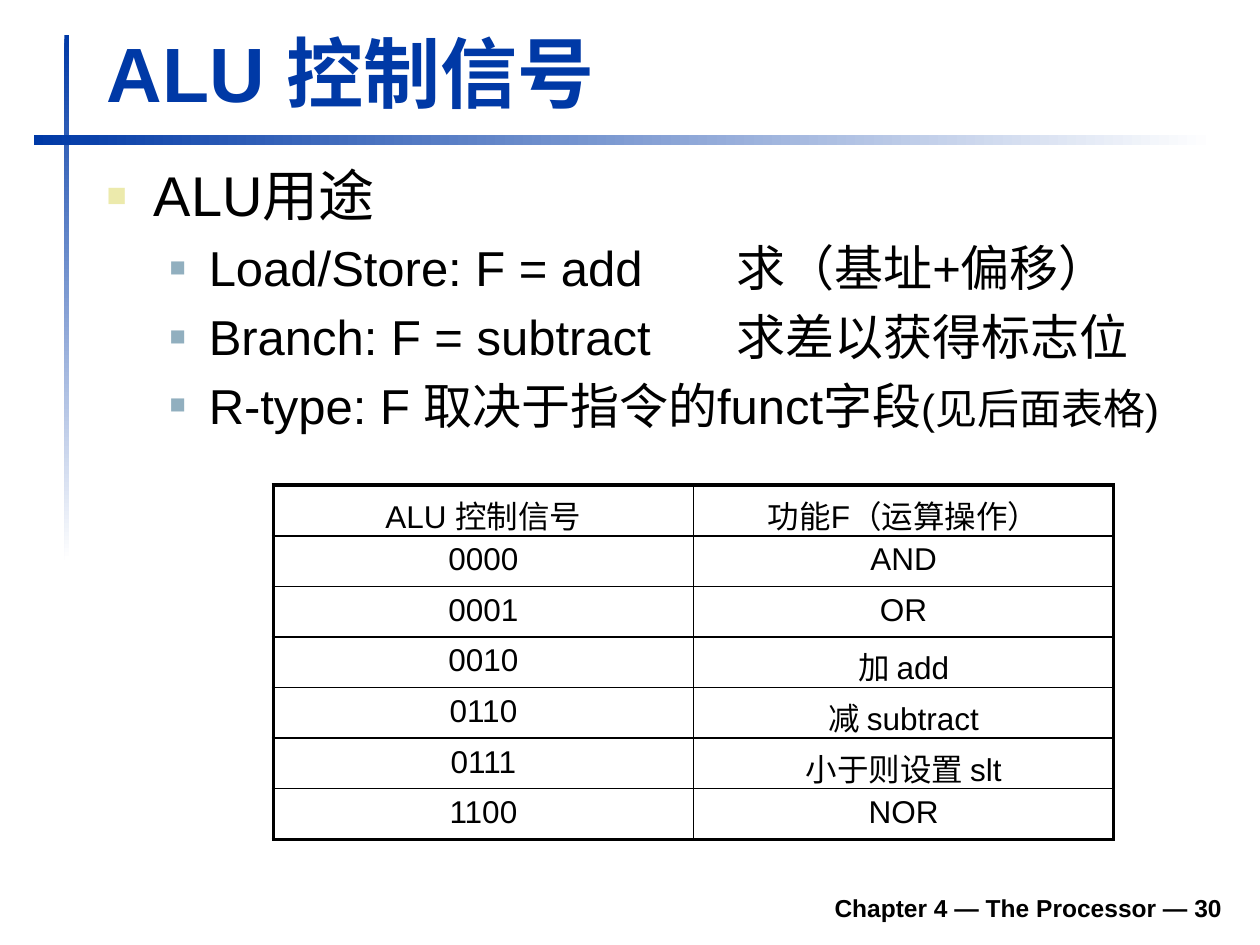
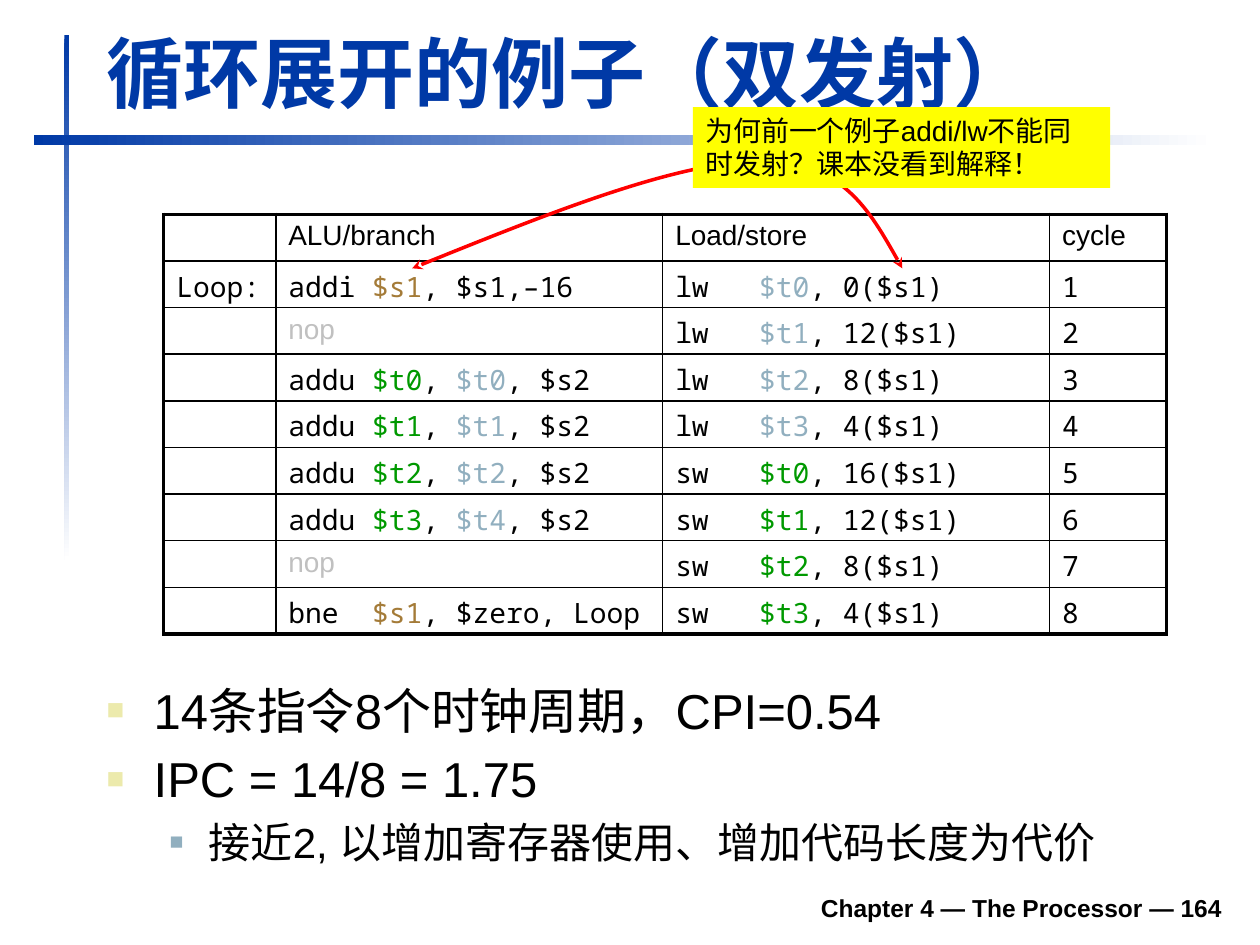
from lxml import etree
from pptx import Presentation
from pptx.dml.color import RGBColor
from pptx.enum.shapes import MSO_SHAPE
from pptx.enum.text import MSO_ANCHOR, PP_ALIGN
from pptx.oxml.ns import qn
from pptx.util import Cm, Pt

BLUE, BLACK, WHITE = "0039A6", "000000", "FFFFFF"
STEEL, GREEN, BROWN, GREY = "91AFBF", "009900", "A47B38", "C0C0C0"
RED, YELLOW, SAND = "FF0000", "FFFF00", "ECEAAC"
SANS, MONO = "Arial", "Noto Sans Mono"

# level: left margin, hanging indent (cm), bullet colour, bullet size
BULLETS = [(0.95, 0.95, SAND, 60000), (2.06, 0.79, STEEL, 55000)]
TAB_STOP = Cm(12.7)
OUTER, HEADER, INNER = 2.25, 1.5, 1


def rgb(value):
    return RGBColor.from_string(value)


def add_xml(parent, tag, **attributes):
    child = etree.SubElement(parent, qn(tag))
    for name, value in attributes.items():
        child.set(name, str(value))
    return child


class Deck:
    """Holds the presentation, its shared style and the current slide."""

    def __init__(self):
        self.prs = Presentation()
        self.prs.slide_width, self.prs.slide_height = Cm(25.4), Cm(19.05)

    def slide(self, title, number):
        self.current = self.prs.slides.add_slide(self.prs.slide_layouts[6])
        self.gradient_bar(1.3, 0.71, 0.1, 10.59, 270)
        self.gradient_bar(0.69, 2.72, 23.8, 0.2, 0)
        self.line_of_text(f"Chapter 4 — The Processor — {number}",
                          (4.7, 17.73, 20.19, 0.99), 14, BLACK, PP_ALIGN.RIGHT)
        self.line_of_text(title, (1.9, 0.4, 22.94, 2.11), 44, BLUE, PP_ALIGN.LEFT)

    def gradient_bar(self, left, top, width, height, angle):
        sp = self.box(left, top, width, height)
        sp.fill.gradient()
        sp.fill.gradient_angle = angle
        for stop, color in zip(sp.fill.gradient_stops, (BLUE, WHITE)):
            stop.color.rgb = rgb(color)

    def box(self, *place):
        sp = self.current.shapes.add_shape(MSO_SHAPE.RECTANGLE, *map(Cm, place))
        sp.shadow.inherit = False
        sp.line.fill.background()
        return sp

    def text_frame(self, place):
        tf = self.current.shapes.add_textbox(*map(Cm, place)).text_frame
        tf.word_wrap = True
        return tf

    def format(self, r, size, color=BLACK, font=SANS, bold=False):
        r.font.size, r.font.name, r.font.bold = Pt(size), font, bold
        r.font.color.rgb = rgb(color)

    def line_of_text(self, text, place, size, color, align):
        tf = self.text_frame(place)
        tf.vertical_anchor = MSO_ANCHOR.BOTTOM
        tf.text = text
        p = tf.paragraphs[0]
        p.alignment = align
        self.format(p.runs[0], size, color, bold=True)

    def bullets(self, place, items):
        """Each item is a level followed by (text, size) runs."""
        tf = self.text_frame(place)
        for i, (level, *runs) in enumerate(items):
            p = tf.add_paragraph() if i else tf.paragraphs[0]
            margin, hanging, color, bullet_size = BULLETS[level]
            pPr = p._p.get_or_add_pPr()
            pPr.set("marL", str(Cm(margin)))
            pPr.set("indent", str(-Cm(hanging)))
            add_xml(add_xml(pPr, "a:buClr"), "a:srgbClr", val=color)
            add_xml(pPr, "a:buSzPct", val=bullet_size)
            add_xml(pPr, "a:buFont", typeface=SANS)
            add_xml(pPr, "a:buChar", char="■")
            add_xml(add_xml(pPr, "a:tabLst"), "a:tab", pos=TAB_STOP, algn="l")
            p.level = level
            if i:
                p.space_before = Pt(0.2 * runs[0][1])
            for text, size in runs:
                r = p.add_run()
                r.text = text
                self.format(r, size)

    def table(self, left, top, widths, row_height, rows, size, align):
        """Each cell is a list of (text, colour, font) runs."""
        last_row, last_col = len(rows) - 1, len(widths) - 1
        table = self.current.shapes.add_table(
            len(rows), len(widths), Cm(left), Cm(top),
            Cm(sum(widths)), Cm(row_height * len(rows))).table
        table.first_row = table.horz_banding = False
        for column, width in zip(table.columns, widths):
            column.width = Cm(width)
        for y, row in enumerate(rows):
            table.rows[y].height = Cm(row_height)
            for x, runs in enumerate(row):
                cell = table.cell(y, x)
                self.borders(cell, {
                    "L": INNER if x else OUTER,
                    "R": OUTER if x == last_col else INNER,
                    "T": (OUTER, HEADER)[y] if y < 2 else INNER,
                    "B": OUTER if y == last_row else INNER if y else HEADER})
                cell.fill.background()
                p = cell.text_frame.paragraphs[0]
                p.alignment = align
                for text, color, font in runs:
                    r = p.add_run()
                    r.text = text
                    self.format(r, size, color, font)
                if not runs:
                    add_xml(p._p, "a:endParaRPr", sz=size * 100)

    def borders(self, cell, widths):
        tcPr = cell._tc.get_or_add_tcPr()
        for side, width in widths.items():
            ln = add_xml(tcPr, f"a:ln{side}", w=Pt(width))
            add_xml(add_xml(ln, "a:solidFill"), "a:srgbClr", val=BLACK)

    def callout(self, text, *place):
        sp = self.box(*place)
        sp.fill.solid()
        sp.fill.fore_color.rgb = rgb(YELLOW)
        tf = sp.text_frame
        tf.word_wrap = True
        tf.vertical_anchor = MSO_ANCHOR.TOP
        tf.text = text
        tf.paragraphs[0].alignment = PP_ALIGN.LEFT
        self.format(tf.paragraphs[0].runs[0], 16)

    def double_arrow(self, points):
        """Bezier curve: a start, then two control points and an end per segment."""
        start, *rest = [(Cm(x), Cm(y)) for x, y in points]
        builder = self.current.shapes.build_freeform(*start)
        builder.add_line_segments(rest, close=False)
        sp = builder.convert_to_shape()
        sp.shadow.inherit = False
        sp.fill.background()
        sp.line.color.rgb = rgb(RED)
        sp.line.width = Pt(2)
        steps = list(sp._element.iter(qn("a:lnTo")))
        path = steps[0].getparent()
        for i in range(0, len(steps), 3):
            curve = add_xml(path, "a:cubicBezTo")
            for step in steps[i:i + 3]:
                curve.append(step[0])
                path.remove(step)
        ln = sp.line._get_or_add_ln()
        add_xml(ln, "a:headEnd", type="stealth")
        add_xml(ln, "a:tailEnd", type="stealth")


def plain(text):
    return [(text, BLACK, SANS)]


def code(*parts):
    """Code runs: plain strings are black, pairs carry their own colour."""
    pairs = [(part, BLACK) if isinstance(part, str) else part for part in parts]
    return [(text, color, MONO) for text, color in pairs]


def addu(target, source):
    return code("addu ", (target, GREEN), ", ", (source, STEEL), ", $s2")


def memory(op, register, offset):
    color = STEEL if op == "lw" else GREEN
    return code(f"{op}   ", (register, color), f", {offset}($s1)")


def alu_slide(deck):
    deck.slide("ALU 控制信号", 30)
    deck.bullets((1.9, 3.12, 22.99, 6.6), [
        (0, ("ALU用途", 32)),
        (1, ("Load/Store: F = add\t求（基址+偏移）", 28)),
        (1, ("Branch: F = subtract\t求差以获得标志位", 28)),
        (1, ("R-type: F 取决于指令的funct字段", 28), ("(见后面表格)", 24)),
    ])
    functions = [
        ("ALU 控制信号", "功能F（运算操作）"),
        ("0000", "AND"), ("0001", "OR"), ("0010", "加 add"),
        ("0110", "减 subtract"), ("0111", "小于则设置 slt"), ("1100", "NOR"),
    ]
    rows = [[plain(text) for text in row] for row in functions]
    deck.table(5.51, 9.78, [8.47, 8.47], 1.02, rows, 18, PP_ALIGN.CENTER)


def unrolling_slide(deck):
    deck.slide("循环展开的例子（双发射）", 164)
    deck.bullets((1.9, 13.59, 22.99, 3.73), [
        (0, ("14条指令8个时钟周期，CPI=0.54", 28)),
        (0, ("IPC = 14/8 = 1.75", 28)),
        (1, ("接近2, 以增加寄存器使用、增加代码长度为代价", 24)),
    ])
    nop = [("nop", GREY, SANS)]
    schedule = [
        (code("addi ", ("$s1", BROWN), ", $s1,–16"), memory("lw", "$t0", 0)),
        (nop, memory("lw", "$t1", 12)),
        (addu("$t0", "$t0"), memory("lw", "$t2", 8)),
        (addu("$t1", "$t1"), memory("lw", "$t3", 4)),
        (addu("$t2", "$t2"), memory("sw", "$t0", 16)),
        (addu("$t3", "$t4"), memory("sw", "$t1", 12)),
        (nop, memory("sw", "$t2", 8)),
        (code("bne  ", ("$s1", BROWN), ", $zero, Loop"), memory("sw", "$t3", 4)),
    ]
    rows = [[[], plain("ALU/branch"), plain("Load/store"), plain("cycle")]]
    for cycle, (alu, load_store) in enumerate(schedule, 1):
        label = code("Loop:") if cycle == 1 else []
        rows.append([label, alu, load_store, code(str(cycle))])
    deck.table(3.3, 4.32, [2.26, 7.8, 7.8, 2.36], 0.94, rows, 16, PP_ALIGN.LEFT)
    deck.double_arrow([(8.31, 5.41), (11, 4.32), (13.69, 3.25), (15.34, 3.25),
                       (16.97, 3.25), (17.58, 4.32), (18.19, 5.41)])
    deck.callout("为何前一个例子addi/lw不能同时发射？课本没看到解释！",
                 13.97, 2.16, 8.41, 1.63)


def main():
    deck = Deck()
    alu_slide(deck)
    unrolling_slide(deck)
    deck.prs.save("out.pptx")


if __name__ == "__main__":
    main()
